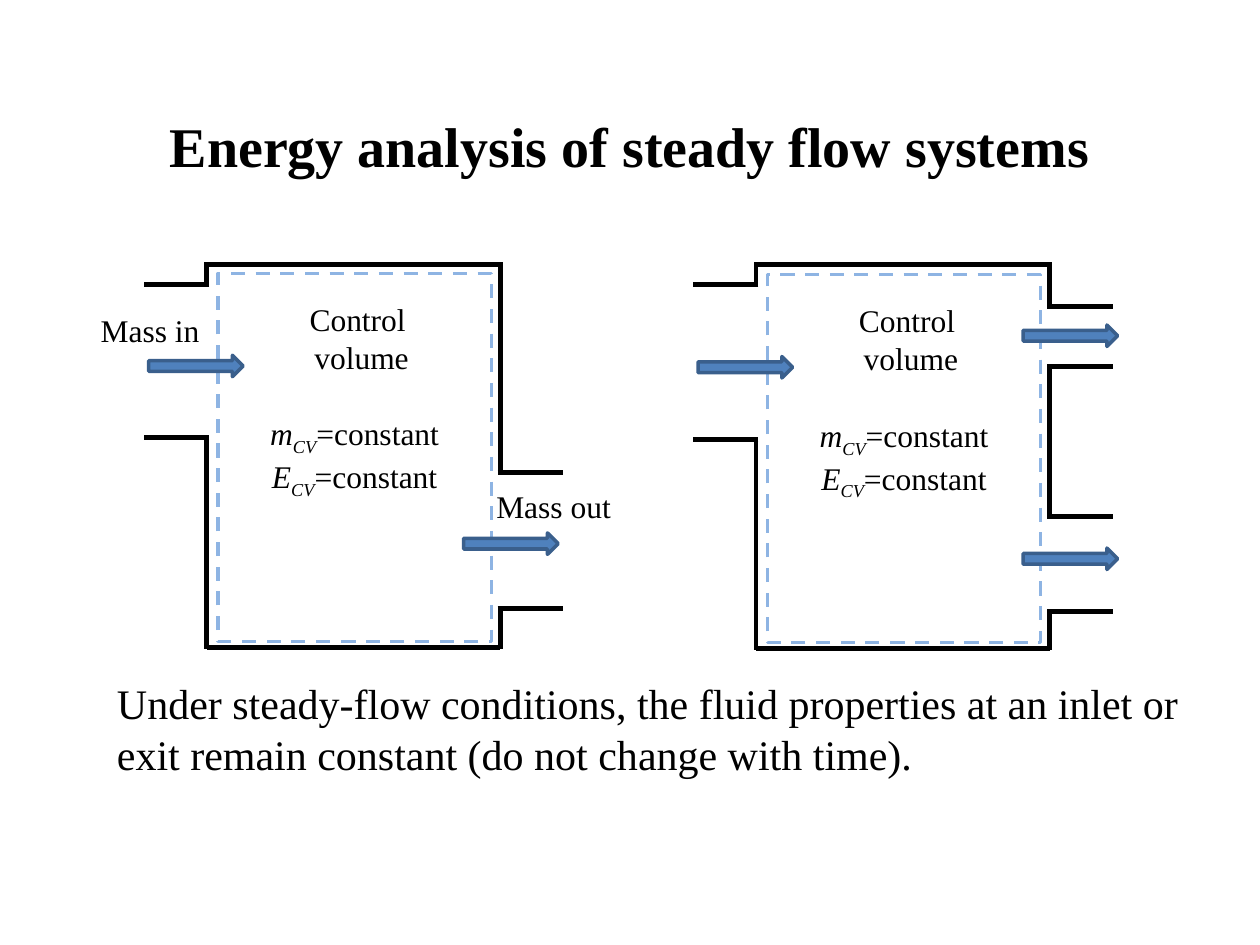
from lxml import etree
from pptx import Presentation, util as u
from pptx.dml.color import RGBColor
from pptx.enum import dml, shapes, text
from pptx.oxml.ns import qn

# Content
TITLE = "Energy analysis of steady flow systems"
SUMMARY = ("Under steady-flow conditions, the fluid properties at an inlet or "
           "exit remain constant (do not change with time).")
NAME = ["Control ", "volume"]
BALANCES = [[(symbol, "italic"), ("CV", "subscript"), ("=constant", "")]
            for symbol in "mE"]

COLORS = {"ink": "000000", "arrow": "4F81BD", "arrow line": "3A5F8C",
          "boundary": "8EB4E3"}
FONT = "Times New Roman"
WALL_WIDTH, PIPE, OVERLAP = 2.33, 0.5, 0.02
ARROW_WIDTH, ARROW_HEIGHT = 0.75, 0.17
TOP = 2.1

# Heights are inches; pipe pairs are the upper and lower edge of an opening
VOLUMES = [
    {"left": 1.64, "bottom": 5.14, "boundary": 2.17,
     "inlet": (2.26, 3.47), "outlets": [(3.75, 4.83)],
     "arrows": [(1.18, 2.82), (3.68, 4.23)],
     "labels": [("Mass in", 0.7, 2.42, 0.99), ("Mass out", 3.84, 3.82, 1.12)]},
    {"left": 6.0, "bottom": 5.15, "boundary": 2.18,
     "inlet": (2.26, 3.49), "outlets": [(2.43, 2.91), (4.1, 4.85)],
     "arrows": [(5.54, 2.83), (8.12, 2.58), (8.12, 4.35)],
     "labels": []},
]

presentation = Presentation()
presentation.slide_width, presentation.slide_height = u.Inches(10), u.Inches(7.5)
slide = presentation.slides.add_slide(presentation.slide_layouts[6])


def color(name):
    return RGBColor.from_string(COLORS[name])


def inches(*lengths):
    return [u.Inches(length) for length in lengths]


def write(shape, paragraphs, size=18, bold=False, centered=False, wrap=True,
          middle=False):
    """Fill a shape with paragraphs, each a string or a list of (text, style)."""
    frame = shape.text_frame
    frame.word_wrap = wrap
    frame.vertical_anchor = (text.MSO_ANCHOR.MIDDLE if middle
                             else text.MSO_ANCHOR.TOP)
    for index, parts in enumerate(paragraphs):
        paragraph = frame.paragraphs[0] if index == 0 else frame.add_paragraph()
        paragraph.alignment = (text.PP_ALIGN.CENTER if centered
                               else text.PP_ALIGN.LEFT)
        for words, style in [(parts, "")] if isinstance(parts, str) else parts:
            run = paragraph.add_run()
            run.text = words
            run.font.name, run.font.size = FONT, u.Pt(size)
            run.font.bold, run.font.italic = bold, bool(style)
            run.font.color.rgb = color("ink")
            if style == "subscript":
                run._r.get_or_add_rPr().set("baseline", "-25000")


def add_text(box, paragraphs, **style):
    write(slide.shapes.add_textbox(*inches(*box)), paragraphs, **style)


def add_shape(kind, box, line, fill=None):
    shape = slide.shapes.add_shape(kind, *inches(*box))
    shape.shadow.inherit = False
    shape.line.color.rgb, shape.line.width = color(line), u.Pt(2)
    if fill:
        shape.fill.solid()
        shape.fill.fore_color.rgb = color(fill)
    else:
        shape.fill.background()
    return shape


def add_wall(x1, y1, x2, y2):
    wall = slide.shapes.add_connector(shapes.MSO_CONNECTOR.STRAIGHT,
                                      *inches(x1, y1, x2, y2))
    wall.line.color.rgb, wall.line.width = color("ink"), u.Pt(2.75)
    etree.SubElement(wall._element.spPr, qn("a:effectLst"))


def add_side(x, bottom, openings, direction):
    """Draw a side wall broken by openings, with a pipe edge at each break."""
    edges = [y for opening in openings for y in opening]
    stops = [TOP - OVERLAP, *edges, bottom + OVERLAP / 2]
    for start, end in zip(stops[::2], stops[1::2]):
        add_wall(x, start, x, end)
    for y in edges:
        add_wall(x - direction * OVERLAP, y, x + direction * PIPE, y)


# Title
add_text((0.5, 0.67, 9, 0.97), [TITLE], size=32, bold=True, centered=True,
         middle=True)

# Control volumes
for volume in VOLUMES:
    left, bottom = volume["left"], volume["bottom"]
    right, boundary_top = left + WALL_WIDTH, volume["boundary"]

    boundary = add_shape(shapes.MSO_SHAPE.RECTANGLE,
                         (left + 0.09, boundary_top, 2.17, 2.92), "boundary")
    boundary.line.dash_style = dml.MSO_LINE.DASH
    write(boundary, BALANCES, centered=True, middle=True)

    for y in (TOP, bottom):
        add_wall(left, y, right, y)
    add_side(left, bottom, [volume["inlet"]], -1)
    add_side(right, bottom, volume["outlets"], 1)

    add_text((left + 0.71, boundary_top + 0.16, 1.04, 0.71), NAME,
             centered=True, wrap=False)
    for x, y in volume["arrows"]:
        add_shape(shapes.MSO_SHAPE.RIGHT_ARROW,
                  (x, y, ARROW_WIDTH, ARROW_HEIGHT), "arrow line", "arrow")
    for label, x, y, width in volume["labels"]:
        add_text((x, y, width, 0.4), [label], wrap=False)

# Summary
add_text((0.83, 5.33, 8.67, 0.91), [SUMMARY], size=24)

presentation.save("out.pptx")
